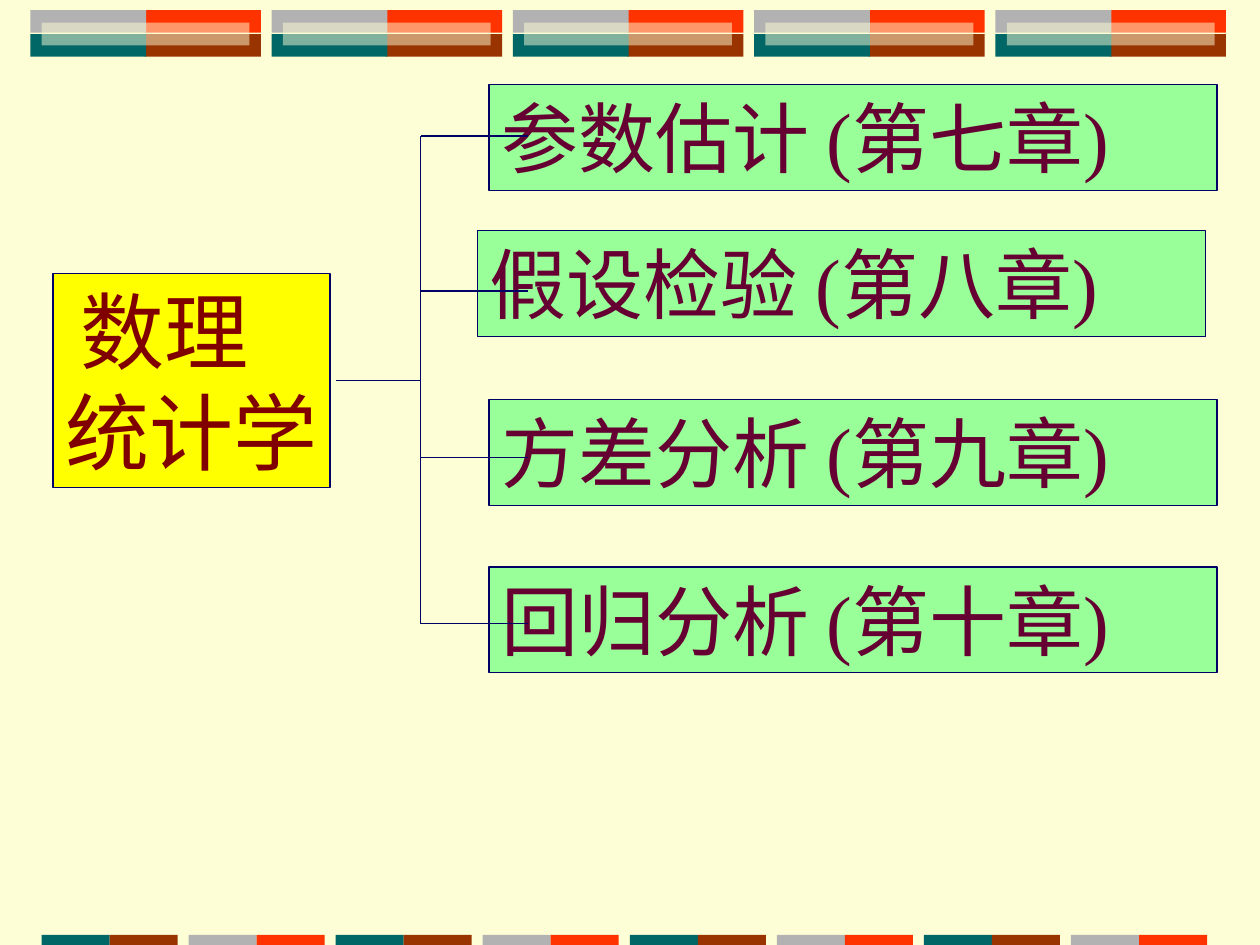
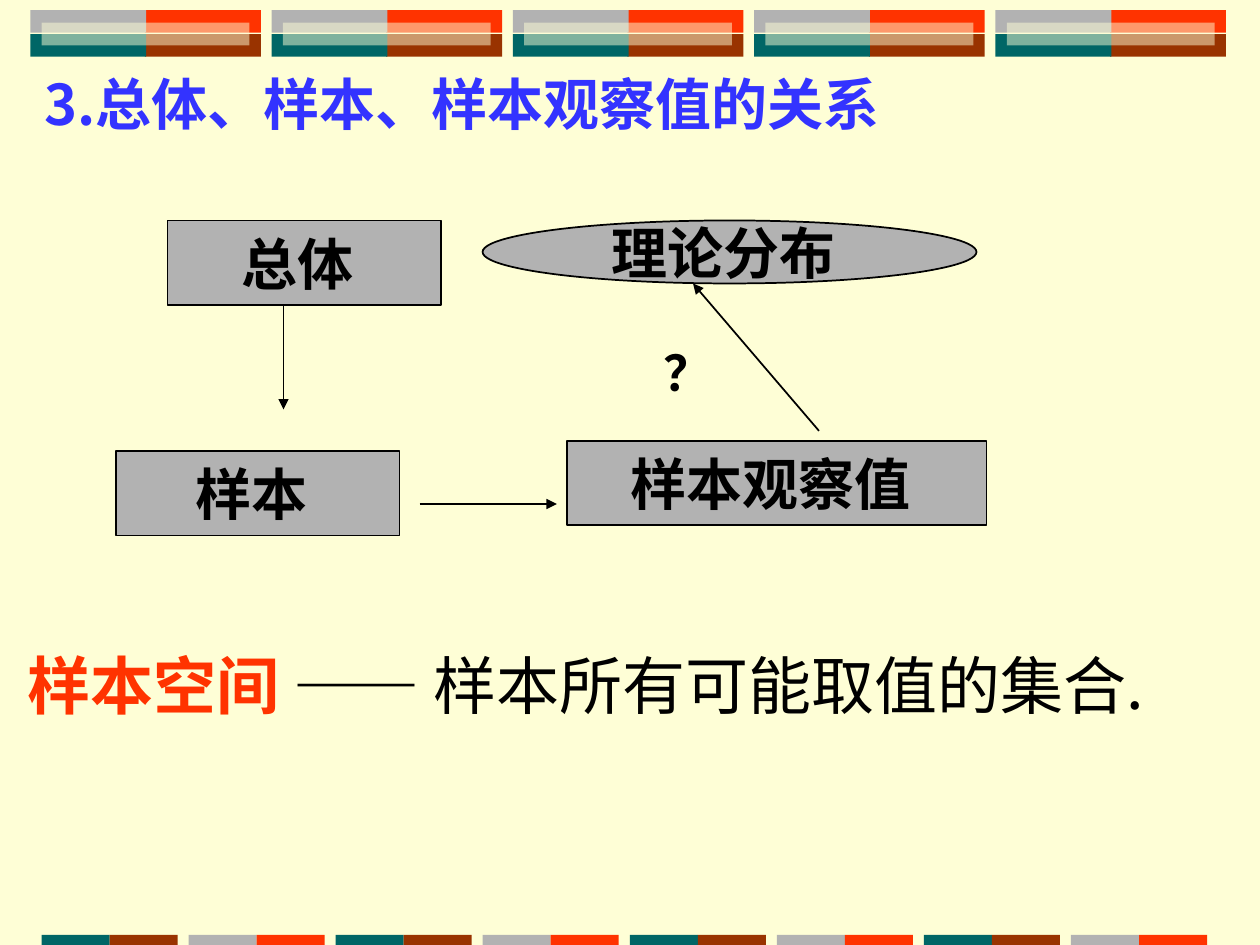
"""Build two statistics slides: a chapter tree and the population-sample relation."""
from dataclasses import dataclass
from typing import NamedTuple, Optional

from lxml import etree
from pptx import Presentation
from pptx import util as u
from pptx.dml.color import RGBColor
from pptx.enum import shapes, text
from pptx.oxml.ns import qn

Inches = u.Inches
RECTANGLE = shapes.MSO_SHAPE.RECTANGLE
OVAL = shapes.MSO_SHAPE.OVAL


@dataclass(frozen=True)
class Theme:
    """Colours, fonts and type sizes shared by the slides."""
    cream: str = "FEFED6"
    red: str = "FF3300"
    brown: str = "993300"
    teal: str = "006666"
    grey: str = "B2B2B2"
    navy: str = "000066"
    green: str = "99FF99"
    yellow: str = "FFFF00"
    plum: str = "660033"
    maroon: str = "800000"
    blue: str = "3333FF"
    black: str = "000000"
    sans: str = "Noto Sans CJK SC"
    serif: str = "Times New Roman"
    root_size: int = 48
    chapter_size: int = 44
    definition_size: int = 36
    heading_size: int = 32
    mark_size: int = 28
    leading: float = 1.2


THEME = Theme()


class Box(NamedTuple):
    """Left, top, width and height in inches."""
    left: float
    top: float
    width: float
    height: float

    def lengths(self) -> list:
        """Return the four sides as lengths."""
        return [Inches(value) for value in self]


class Run(NamedTuple):
    """A stretch of text in one format."""
    text: str
    color: str
    font: str = THEME.sans
    bold: bool = False


class Node(NamedTuple):
    """A labelled shape of the relation diagram."""
    label: str
    box: Box
    kind: int = RECTANGLE


class Line(NamedTuple):
    """A straight line between two points in inches."""
    start: tuple
    end: tuple


CHAPTERS = [
    Node("参数估计 (第七章)", Box(3.88, 0.67, 5.78, 0.84)),
    Node("假设检验 (第八章)", Box(3.79, 1.83, 5.78, 0.84)),
    Node("方差分析 (第九章)", Box(3.88, 3.17, 5.78, 0.84)),
    Node("回归分析 (第十章)", Box(3.88, 4.5, 5.78, 0.84)),
]
TRUNK_X, BRANCH_END, ROOT_END, ROOT_Y = 3.34, 4.19, 2.67, 3.02
BRANCH_YS = [1.08, 2.31, 3.63, 4.95]

RELATION_NODES = [
    Node("总体 ", Box(1.33, 1.75, 2.17, 0.67)),
    Node("样本 ", Box(0.92, 3.58, 2.25, 0.67)),
    Node("样本观察值 ", Box(4.5, 3.5, 3.33, 0.67)),
    Node("理论分布 ", Box(3.83, 1.75, 3.92, 0.5), OVAL),
]
RELATION_ARROWS = [
    Line((2.25, 2.42), (2.25, 3.25)),
    Line((3.33, 4), (4.42, 4)),
    Line((6.5, 3.42), (5.5, 2.25)),
]


def rgb(color: str) -> RGBColor:
    """Turn a hex string into a colour."""
    return RGBColor.from_string(color)


def write_text(frame, paragraphs: list, *, size: int, align=text.PP_ALIGN.LEFT,
               anchor=text.MSO_ANCHOR.TOP, wrap: bool = False, grow: bool = False,
               first_indent: float = 0) -> None:
    """Fill a text frame with paragraphs, each a list of runs."""
    frame.word_wrap = wrap
    frame.vertical_anchor = anchor
    frame.auto_size = (text.MSO_AUTO_SIZE.SHAPE_TO_FIT_TEXT if grow
                       else text.MSO_AUTO_SIZE.NONE)
    for index, runs in enumerate(paragraphs):
        paragraph = frame.add_paragraph() if index else frame.paragraphs[0]
        paragraph.alignment = align
        paragraph.line_spacing = u.Pt(size * THEME.leading)
        if first_indent and index == 0:
            paragraph._p.get_or_add_pPr().set("marL", str(Inches(first_indent)))
        for part in runs:
            run = paragraph.add_run()
            run.text = part.text
            run.font.size = u.Pt(size)
            run.font.bold = part.bold
            run.font.name = part.font
            run.font.color.rgb = rgb(part.color)
            east_asian = etree.SubElement(run._r.get_or_add_rPr(), qn("a:ea"))
            east_asian.set("typeface", THEME.sans)


def add_box(parent, box: Box, fill: str, *, kind=RECTANGLE,
            outline: Optional[str] = None, weight: float = 0.75):
    """Add a filled preset shape, outlined when a colour is given."""
    shape = parent.add_shape(kind, *box.lengths())
    shape.shadow.inherit = False
    shape.fill.solid()
    shape.fill.fore_color.rgb = rgb(fill)
    if outline:
        shape.line.color.rgb = rgb(outline)
        shape.line.width = u.Pt(weight)
    else:
        shape.line.fill.background()
    return shape


def add_line(parent, line: Line, color: str, weight: float, arrow: bool = False) -> None:
    """Add a straight connector, with an arrowhead at its end if asked."""
    points = [Inches(value) for value in (*line.start, *line.end)]
    connector = parent.add_connector(shapes.MSO_CONNECTOR.STRAIGHT, *points)
    connector.line.color.rgb = rgb(color)
    connector.line.width = u.Pt(weight)
    properties = connector.element.spPr
    if arrow:
        etree.SubElement(properties.find(qn("a:ln")), qn("a:tailEnd")).set("type", "triangle")
    etree.SubElement(properties, qn("a:effectLst"))


def add_text_box(slide, box: Box, runs: list, **formatting):
    """Add a text box of one paragraph."""
    shape = slide.shapes.add_textbox(*box.lengths())
    write_text(shape.text_frame, [runs], **formatting)
    return shape


def decorate_master(presentation, slide) -> None:
    """Put the background and both tile bands on the slide master."""
    master = presentation.slide_master
    master.background.fill.solid()
    master.background.fill.fore_color.rgb = rgb(THEME.cream)
    group = slide.shapes.add_group_shape()
    for index in range(5):
        left = 0.24 + index * 7.66 / 4
        tiles = [(0.91, 0.08, THEME.red), (0.91, 0.27, THEME.brown),
                 (0, 0.27, THEME.teal), (0, 0.08, THEME.grey)]
        for offset, top, color in tiles:
            add_box(group.shapes, Box(left + offset, top, 0.92, 0.18), color)
        veil = add_box(group.shapes, Box(left + 0.09, 0.18, 1.65, 0.18), THEME.cream)
        color_element = next(veil.element.spPr.iter(qn("a:srgbClr")))
        etree.SubElement(color_element, qn("a:alpha")).set("val", "50000")
    pairs = [(THEME.teal, THEME.brown), (THEME.grey, THEME.red)]
    for index in range(8):
        left = 0.33 + index * 8.17 / 7
        for side, color in enumerate(pairs[index % 2]):
            add_box(group.shapes, Box(left + side * 0.54, 7.42, 0.54, 0.08), color)
    for number, properties in enumerate(group.element.iter(qn("p:cNvPr")), 100):
        properties.set("id", str(number))
    master.shapes.element.insert(2, group.element)


def build_chapter_tree(slide) -> None:
    """Draw the subject and its four chapters."""
    for chapter in CHAPTERS:
        shape = add_box(slide.shapes, chapter.box, THEME.green, outline=THEME.navy)
        write_text(shape.text_frame, [[Run(chapter.label, THEME.plum, THEME.serif)]],
                   size=THEME.chapter_size, grow=True)
    lines = [Line((TRUNK_X, BRANCH_YS[0]), (TRUNK_X, BRANCH_YS[-1])),
             *(Line((TRUNK_X, y), (BRANCH_END, y)) for y in BRANCH_YS),
             Line((TRUNK_X, ROOT_Y), (ROOT_END, ROOT_Y))]
    tree = slide.shapes.add_group_shape()
    for line in lines:
        add_line(tree.shapes, line, THEME.navy, 0.75)
    root = add_box(slide.shapes, Box(0.42, 2.17, 2.2, 1.7), THEME.yellow, outline=THEME.navy)
    write_text(root.text_frame, [[Run("数理", THEME.maroon)], [Run("统计学", THEME.maroon)]],
               size=THEME.root_size, grow=True, first_indent=0.12)


def build_sample_relation(slide) -> None:
    """Draw how population, sample and observed values relate."""
    title = slide.shapes.title
    title.left, title.top, title.width, title.height = Box(0.25, 0.5, 7.75, 0.64).lengths()
    write_text(title.text_frame, [[Run("3.总体、样本、样本观察值的关系", THEME.blue, bold=True)]],
               size=THEME.heading_size, wrap=True, grow=True)
    for node in RELATION_NODES:
        shape = add_box(slide.shapes, node.box, THEME.grey, kind=node.kind,
                        outline=THEME.black, weight=1)
        write_text(shape.text_frame, [[Run(node.label, THEME.black, bold=True)]],
                   size=THEME.heading_size, align=text.PP_ALIGN.CENTER,
                   anchor=text.MSO_ANCHOR.MIDDLE)
    for arrow in RELATION_ARROWS:
        add_line(slide.shapes, arrow, THEME.black, 1, arrow=True)
    mark = add_text_box(slide, Box(5.17, 2.67, 0.5, 0.5),
                        [Run("？", THEME.black, bold=True)], size=THEME.mark_size)
    outline = etree.Element(qn("a:ln"), w=str(u.Pt(0.75)))
    fill = etree.SubElement(outline, qn("a:solidFill"))
    etree.SubElement(fill, qn("a:srgbClr")).set("val", THEME.black)
    next(mark.element.iter(qn("a:rPr"))).insert(0, outline)
    definition = [Run("样本空间 ", THEME.red, bold=True),
                  Run("—— ", THEME.black, THEME.serif),
                  Run("样本所有可能取值的集合.", THEME.black)]
    add_text_box(slide, Box(0.12, 5.08, 9.47, 0.7), definition,
                 size=THEME.definition_size, grow=True)


def main() -> None:
    """Create the presentation and save it."""
    presentation = Presentation()
    presentation.slide_width, presentation.slide_height = Inches(10), Inches(7.5)
    title_only, blank = presentation.slide_layouts[5], presentation.slide_layouts[6]
    tree_slide = presentation.slides.add_slide(blank)
    decorate_master(presentation, tree_slide)
    build_chapter_tree(tree_slide)
    build_sample_relation(presentation.slides.add_slide(title_only))
    presentation.save("out.pptx")


if __name__ == "__main__":
    main()
